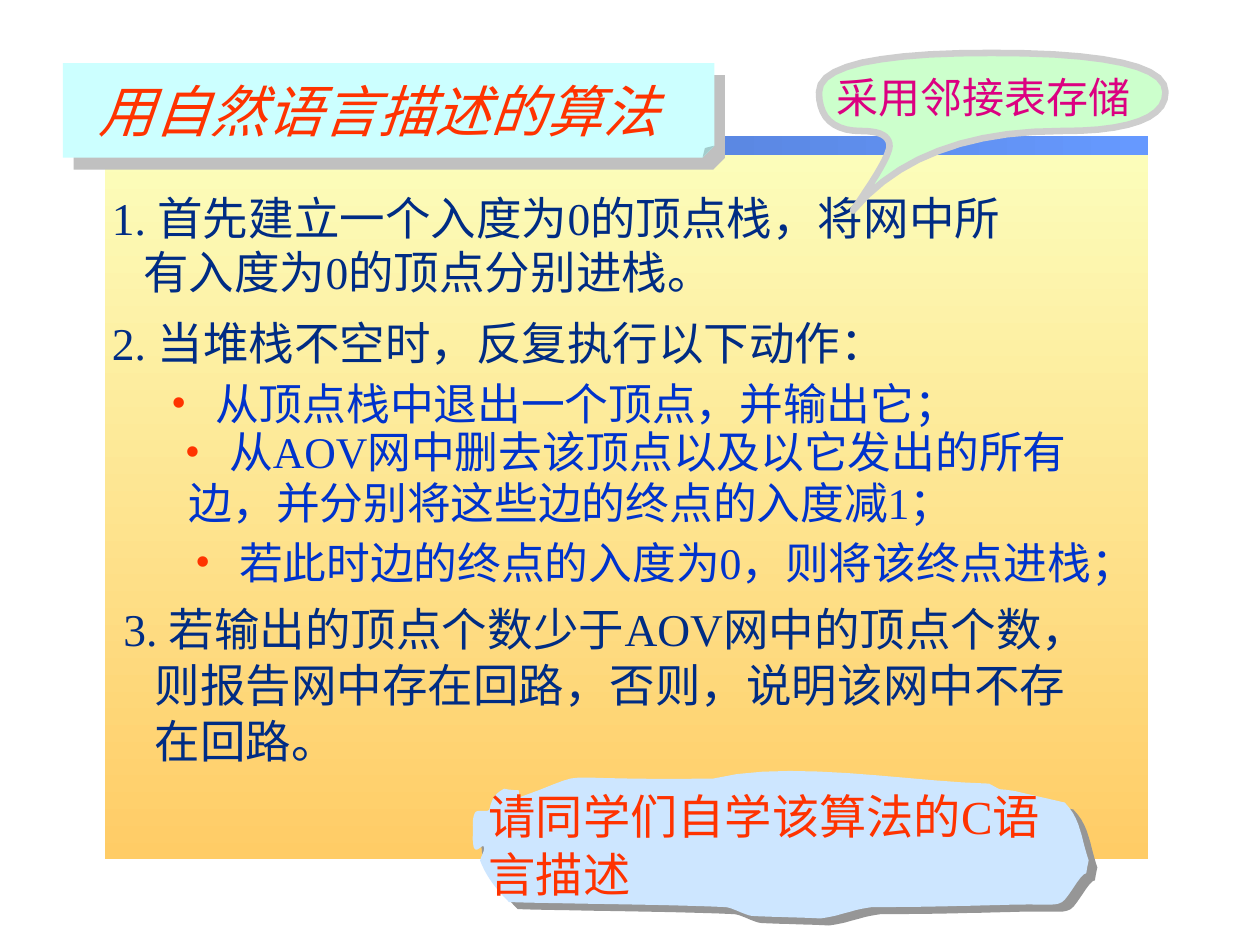
import math

import lxml.etree
import pptx
import pptx.dml.color
import pptx.enum.shapes
import pptx.enum.text
import pptx.oxml.ns
import pptx.util

LATIN, EAST_ASIAN = "Times New Roman", "Noto Sans CJK SC"
ORANGE, NAVY, BLUE, PINK = "FF3300", "002C84", "0033CC", "DC0081"
HANG = 0.35  # distance from a bullet to its text, inches

STEP = {"size": 26, "color": NAVY}
ACTION = {"size": 25, "color": BLUE}

# Background bands: left, top, width, height, first colour, last colour, angle
BANDS = [
    (0.83, 1.10, 8.28, 5.72, "FCFEBC", "FFCC66", 270),
    (0.84, 1.08, 8.27, 0.15, "496DB6", "6699FF", 0),
]

TITLE = ("用自然语言描述的算法", 39, 0, False, {"size": 32, "color": ORANGE, "italic": True})

# Text boxes: (left, top, width, height), then lines of
# (text, line pitch in points, left margin in inches, bulleted, format)
BODY = [
    ((0.79, 1.46, 8.24, 0.97), [
        ("1. 首先建立一个入度为0的顶点栈，将网中所", 31, 0, False, STEP),
        ("有入度为0的顶点分别进栈。", 31, 0.25, False, STEP),
    ]),
    ((0.79, 2.48, 7.75, 0.97), [
        ("2. 当堆栈不空时，反复执行以下动作：", 29, 0, False, STEP),
        ("从顶点栈中退出一个顶点，并输出它；", 34, 0.82, True, ACTION),
    ]),
    ((1.01, 3.27, 8.15, 0.95), [
        ("从AOV网中删去该顶点以及以它发出的所有", 34, 0.71, True, ACTION),
        ("边，并分别将这些边的终点的入度减1；", 28.6, 0.39, False, ACTION),
    ]),
    ((1.13, 4.08, 8.25, 0.63), [
        ("若此时边的终点的入度为0，则将该终点进栈；", 39, 0.67, True, ACTION),
    ]),
    ((0.88, 4.71, 8.62, 1.40), [
        ("3. 若输出的顶点个数少于AOV网中的顶点个数，", 32, 0, False, STEP),
        ("则报告网中存在回路，否则，说明该网中不存", 32, 0.25, False, STEP),
        ("在回路。", 32, 0.25, False, STEP),
    ]),
]
STORAGE_NOTE = ((6.54, 0.50, 2.92, 0.50), [
    ("采用邻接表存储", 30, 0, False, {"size": 24, "color": PINK})])
HOMEWORK = ((3.78, 6.19, 4.92, 1.01), [
    ("请同学们自学该算法的C语言描述", 33, 0, False,
     {"size": 27, "color": ORANGE, "shadow": True})])

# Outlines: a start point, then curves as control points and an end point
CALLOUT = [(6.5, 0.73), [
    [(6.5, 0.42), (7.87, 0.42)], [(9.25, 0.42), (9.25, 0.73)],
    [(9.25, 1.04), (8.42, 1.04)], [(7.3, 1.04), (6.77, 1.67)],
    [(7.06, 1.25), (7.06, 1.16)], [(7.06, 1.04), (6.84, 1.04)],
    [(6.5, 1.04), (6.5, 0.73)],
]]
CLOUD = [(4.12, 6.33), [
    [(4.79, 6.09), (4.2, 6.2), (5.66, 6.18)], [(6.26, 6.03), (7.17, 6.2), (7.85, 6.22)],
    [(7.98, 6.29), (7.89, 6.25), (8.06, 6.28)], [(8.19, 6.31), (8.45, 6.37), (8.45, 6.37)],
    [(8.58, 6.5), (8.58, 6.66), (8.64, 6.83)], [(8.6, 7.02), (8.65, 6.86), (8.55, 7)],
    [(8.39, 7.23), (8.48, 7.17), (8.06, 7.18)], [(7.68, 7.19), (7.3, 7.2), (6.92, 7.2)],
    [(6.76, 7.22), (6.67, 7.27), (6.51, 7.29)], [(6.33, 7.28), (6.15, 7.28), (5.97, 7.27)],
    [(5.9, 7.26), (5.83, 7.21), (5.76, 7.2)], [(5.35, 7.18), (4.28, 7.17), (4.04, 7.16)],
    [(3.94, 7.06), (3.86, 6.96), (3.81, 6.83)], [(3.82, 6.79), (3.85, 6.75), (3.84, 6.72)],
    [(3.83, 6.7), (3.79, 6.76), (3.77, 6.74)], [(3.75, 6.72), (3.76, 6.69), (3.75, 6.66)],
    [(3.76, 6.59), (3.74, 6.51), (3.77, 6.45)], [(3.79, 6.42), (3.85, 6.45), (3.88, 6.43)],
    [(3.89, 6.42), (3.89, 6.39), (3.9, 6.37)], [(3.93, 6.3), (3.94, 6.3), (4, 6.26)],
    [(4.14, 6.29), (4.12, 6.24), (4.12, 6.33)],
]]


def rgb(color):
    return pptx.dml.color.RGBColor.from_string(color)


def inches(values):
    return [pptx.util.Inches(value) for value in values]


def add_element(parent, tag, **attributes):
    return lxml.etree.SubElement(
        parent, pptx.oxml.ns.qn(tag), {key: str(value) for key, value in attributes.items()})


def add_shadow(effects, color, distance, angle):
    shadow = add_element(effects, "a:outerShdw", dist=pptx.util.Pt(distance),
                         dir=angle * 60000, algn="ctr", rotWithShape=0)
    add_element(shadow, "a:srgbClr", val=color)


def style_shape(shape, fill=None, line=None, shadow=None):
    shape.shadow.inherit = False
    if fill:
        shape.fill.solid()
        shape.fill.fore_color.rgb = rgb(fill)
    if line:
        shape.line.color.rgb = rgb(line[0])
        shape.line.width = pptx.util.Pt(line[1])
    else:
        shape.line.fill.background()
    if shadow:
        add_shadow(shape._element.spPr.find(pptx.oxml.ns.qn("a:effectLst")), *shadow)


def add_band(slide, left, top, width, height, first, last, angle):
    band = slide.shapes.add_shape(pptx.enum.shapes.MSO_SHAPE.RECTANGLE,
                                  *inches((left, top, width, height)))
    band.fill.gradient()
    band.fill.gradient_angle = angle
    for stop, color in zip(band.fill.gradient_stops, (first, last)):
        stop.color.rgb = rgb(color)
    style_shape(band)


def curve_points(points, steps=10):
    """Sample a Bezier curve of any degree, leaving out its start."""
    degree = len(points) - 1
    for step in range(1, steps + 1):
        t = step / steps
        weights = [math.comb(degree, i) * t**i * (1 - t)**(degree - i)
                   for i in range(degree + 1)]
        yield tuple(1000 * sum(weight * point[axis] for weight, point in zip(weights, points))
                    for axis in (0, 1))


def add_outline(slide, start, curves, **style):
    vertices, current = [], start
    for curve in curves:
        vertices.extend(curve_points([current] + curve))
        current = curve[-1]
    builder = slide.shapes.build_freeform(
        start[0] * 1000, start[1] * 1000, scale=pptx.util.Inches(1) / 1000)
    builder.add_line_segments(vertices, close=True)
    style_shape(builder.convert_to_shape(), **style)


def write_line(para, text, pitch, margin, bulleted, style):
    para.alignment = pptx.enum.text.PP_ALIGN.LEFT
    para.line_spacing = pptx.util.Pt(pitch)
    para.space_before = para.space_after = pptx.util.Pt(0)
    properties = para._p.get_or_add_pPr()
    properties.set("marL", str(pptx.util.Inches(margin)))
    properties.set("indent", str(pptx.util.Inches(-HANG if bulleted else 0)))
    if bulleted:
        add_element(add_element(properties, "a:buClr"), "a:srgbClr", val=ORANGE)
        add_element(properties, "a:buFont", typeface=LATIN)
        add_element(properties, "a:buChar", char="•")
    span = para.add_run()
    span.text = text
    formats = {"size": pptx.util.Pt(style["size"]), "name": LATIN,
               "italic": style.get("italic", False), "bold": False}
    for name, value in formats.items():
        setattr(span.font, name, value)
    span.font.color.rgb = rgb(style["color"])
    latin = span.font._element.find(pptx.oxml.ns.qn("a:latin"))
    east_asian = add_element(span.font._element, "a:ea", typeface=EAST_ASIAN)
    latin.addnext(east_asian)
    if style.get("shadow"):
        effects = add_element(span.font._element, "a:effectLst")
        latin.addprevious(effects)
        add_shadow(effects, "000000", 2, 45)


def fill_text(box, lines):
    frame = box.text_frame
    frame.word_wrap = True
    frame.auto_size = pptx.enum.text.MSO_AUTO_SIZE.NONE
    frame.vertical_anchor = pptx.enum.text.MSO_ANCHOR.TOP
    for index, line in enumerate(lines):
        write_line(frame.add_paragraph() if index else frame.paragraphs[0], *line)


def add_text(slide, place, lines):
    fill_text(slide.shapes.add_textbox(*inches(place)), lines)


def add_title(slide):
    panel = slide.shapes.add_shape(pptx.enum.shapes.MSO_SHAPE.FOLDED_CORNER,
                                   *inches((0.5, 0.5, 5.17, 0.75)))
    guides = panel._element.spPr.xpath("a:prstGeom/a:avLst")[0]
    add_element(guides, "a:gd", name="adj", fmla="val 12500")
    style_shape(panel, fill="CCFFFF", shadow=("C0C0C0", 9.2, 49))
    title = slide.shapes.title
    title.left, title.top, title.width, title.height = inches((0.68, 0.55, 4.9, 0.63))
    panel._element.addnext(title._element)
    fill_text(title, [TITLE])


def main():
    deck = pptx.Presentation()
    deck.slide_width, deck.slide_height = inches((10, 7.5))
    page = deck.slides.add_slide(deck.slide_layouts[5])
    for band in BANDS:
        add_band(page, *band)
    add_title(page)
    for place, lines in BODY:
        add_text(page, place, lines)
    add_outline(page, *CALLOUT, fill="CCFFCC", line=("CECECE", 3.75))
    add_text(page, *STORAGE_NOTE)
    add_outline(page, *CLOUD, fill="CDE6FF", shadow=("969696", 6.4, 39))
    add_text(page, *HOMEWORK)
    deck.save("out.pptx")


if __name__ == "__main__":
    main()
